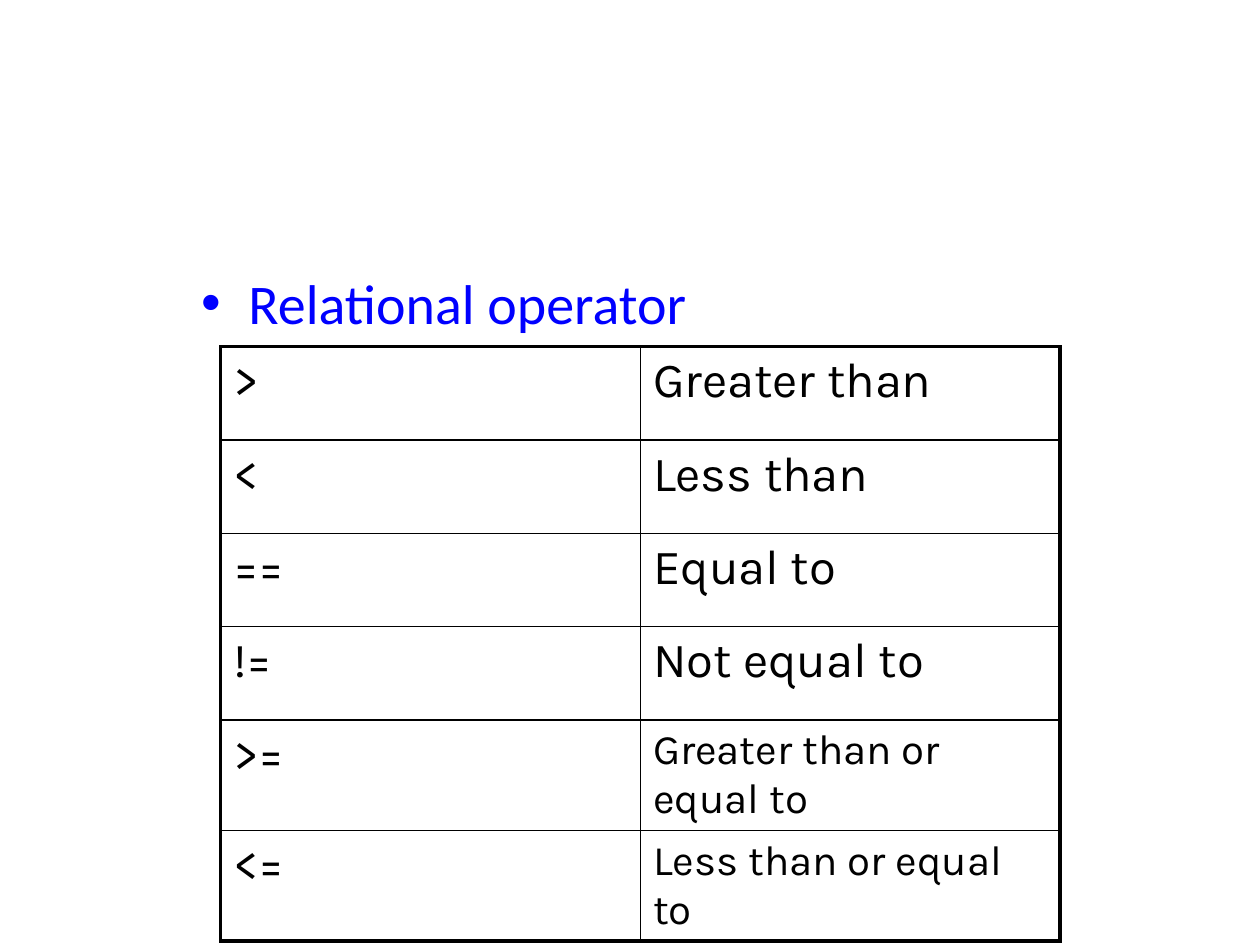
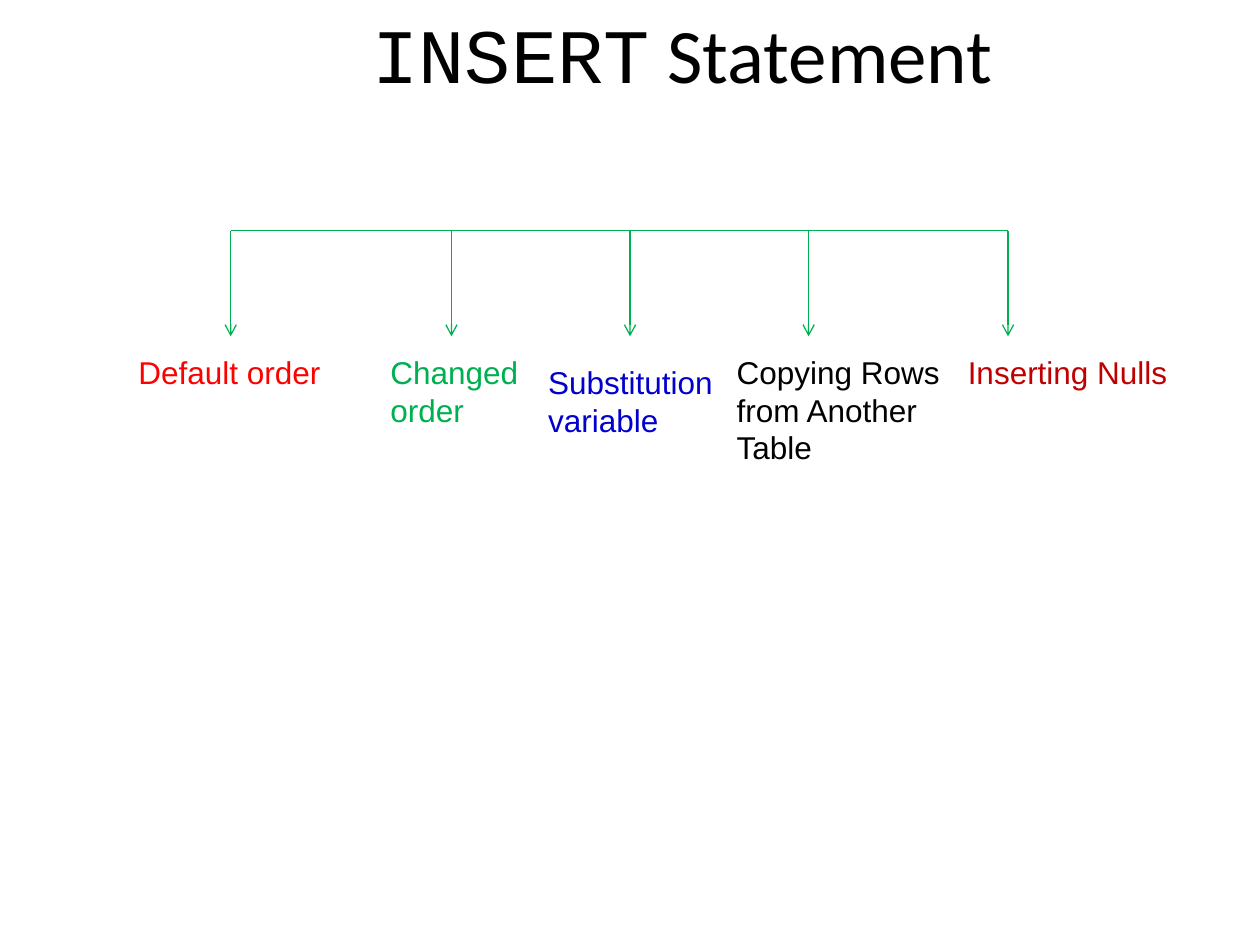
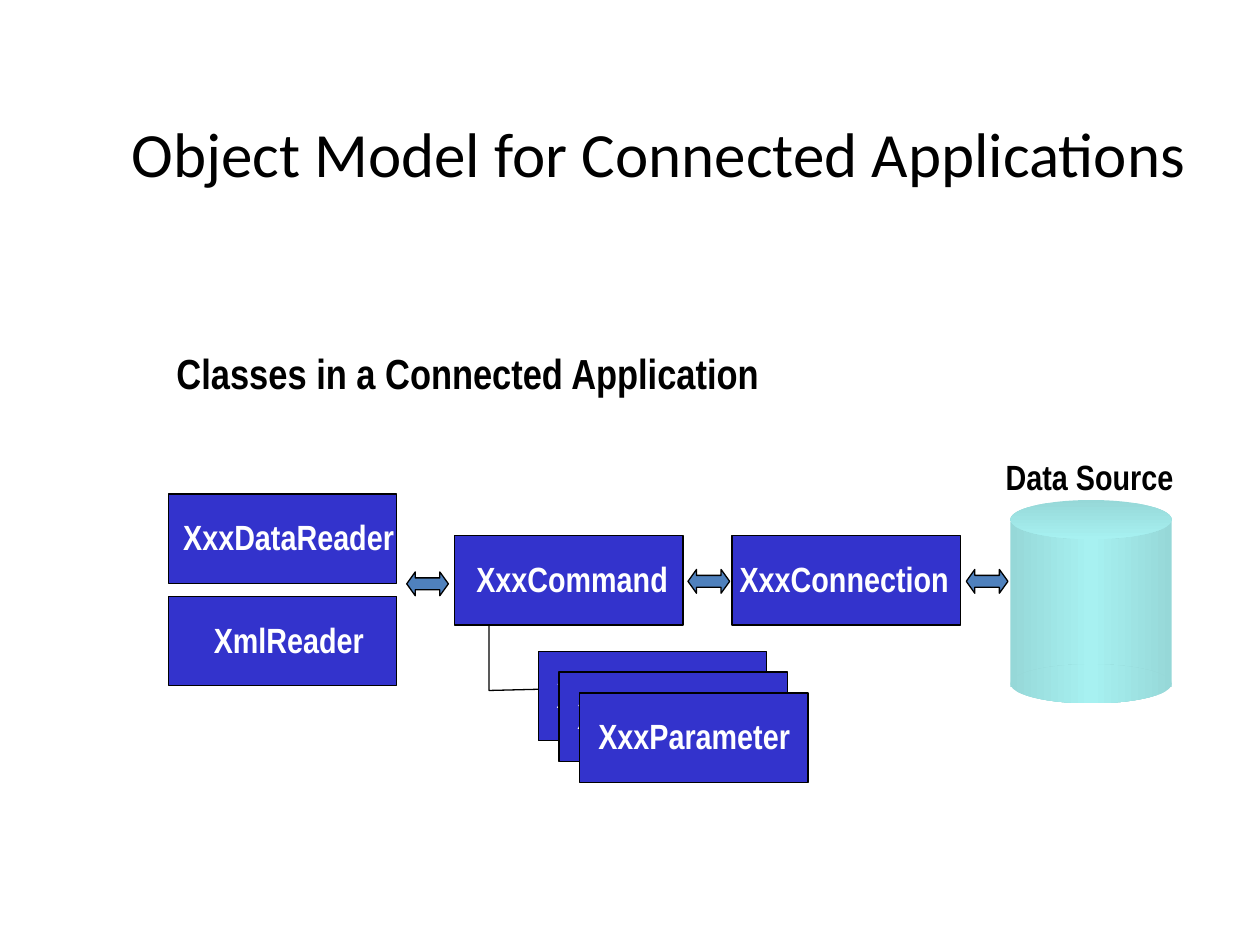
from dataclasses import dataclass

from lxml import etree
from pptx import Presentation
from pptx import util as u
from pptx.dml.color import RGBColor
from pptx.enum import shapes, text
from pptx.oxml.ns import qn


@dataclass(frozen=True)
class Theme:
    black: str = "000000"
    white: str = "FFFFFF"
    blue: str = "0000FF"
    green: str = "00B050"
    box: str = "3333CC"
    arrow: str = "4F81BD"
    edge: str = "96D8D8"
    glow: str = "A7F1F1"
    head: str = "Calibri"
    code: str = "Courier New"
    cell: str = "Karla"
    label: str = "Arial"
    narrow: str = "Arial Narrow"
    title: int = 44
    title_small: int = 36
    bullet: int = 32
    cell_size: int = 28
    cell_small: int = 24
    subtitle: int = 24
    class_size: int = 20
    label_size: int = 18
    thin: float = 0.75
    inner: float = 1
    outer: float = 2.25


T = Theme()

ROW_H, TALL_ROW_H = 1.88, 2.23
OPERATORS = [
    (">", "Greater than", T.cell_size, ROW_H),
    ("<", "Less than", T.cell_size, ROW_H),
    ("==", "Equal to", T.cell_size, ROW_H),
    ("!=", "Not equal to", T.cell_size, ROW_H),
    (">=", "Greater than or equal to", T.cell_small, TALL_ROW_H),
    ("<=", "Less than or equal to", T.cell_small, TALL_ROW_H),
]

# branch x, label x, label y, label width, label height, lines, colour
INSERT_KINDS = [
    (4.65, 2.54, 6.99, 4.65, 1.02, ["Default order"], "FF0000"),
    (9.1, 7.62, 6.99, 4.65, 1.8, ["Changed order"], T.green),
    (12.7, 10.8, 7.2, 4.65, 1.8, ["Substitution", "variable"], "0000CC"),
    (16.3, 14.6, 6.99, 4.87, 2.57, ["Copying Rows", "from Another Table"], T.black),
    (20.32, 19.26, 6.99, 4.87, 1.02, ["Inserting Nulls"], "C00000"),
]
BRANCH_TOP, BRANCH_END = 4.65, 6.78

BOX_W, BOX_H = 4.6, 1.8
PARAMETER_STEP = 0.42
CLASSES = [
    ("XxxConnection", 14.76, 10.8, -0.1, 4.72),
    ("XxxCommand", 9.17, 10.8, 0.18, 4.37),
    ("XxxDataReader", 3.4, 9.96, 0.03, 4.78),
    ("XmlReader", 3.4, 12.02, 0.66, 3.53),
] + [
    ("XxxParameter", 10.85 + i * PARAMETER_STEP, 13.13 + i * PARAMETER_STEP, 0.12, 4.37)
    for i in range(3)
]
ARROWS = [(8.2, 11.53), (13.87, 11.48), (19.48, 11.48)]
SIDE_SHADE = [(0, T.edge), (50, T.glow), (100, T.edge)]
TOP_SHADE = [(0, T.edge), (100, T.glow)]
RECT, OVAL = shapes.MSO_SHAPE.RECTANGLE, shapes.MSO_SHAPE.OVAL
CYLINDER = [
    (RECT, 10.52, 3.33, SIDE_SHADE, 0),
    (OVAL, 10.08, 0.79, TOP_SHADE, 270),
    (OVAL, 13.39, 0.79, SIDE_SHADE, 0),
]


def rgb(c):
    return RGBColor.from_string(c)


def cm(*values):
    return [u.Cm(v) for v in values]


def style(font, name, size, color, bold=False):
    font.name, font.size, font.bold = name, u.Pt(size), bold
    font.color.rgb = rgb(color)


def add_text(s, at, lines, name, size, color, bold=False, center=False,
             middle=False, wrap=True):
    tf = s.shapes.add_textbox(*cm(*at)).text_frame
    tf.word_wrap = wrap
    if middle:
        tf.vertical_anchor = text.MSO_ANCHOR.MIDDLE
    tf.text = "\n".join(lines)
    for p in tf.paragraphs:
        style(p.font, name, size, color, bold)
        if center:
            p.alignment = text.PP_ALIGN.CENTER
    return tf


def add_title(s, at, content, size, middle):
    return add_text(s, at, [content], T.head, size, T.black, center=True, middle=middle)


def add_box(s, kind, at, fill=None, line=None):
    sp = s.shapes.add_shape(kind, *cm(*at))
    sp.shadow.inherit = False
    if fill:
        sp.fill.solid()
        sp.fill.fore_color.rgb = rgb(fill)
    if line:
        sp.line.color.rgb = rgb(line)
        sp.line.width = u.Pt(T.thin)
    else:
        sp.line.fill.background()
    return sp


def shade(sp, stops, angle):
    sp.fill.gradient()
    sp.fill.gradient_angle = angle
    gs_list = sp._element.spPr.find(".//" + qn("a:gsLst"))
    for gs in list(gs_list):
        gs_list.remove(gs)
    for pos, color in stops:
        gs = etree.SubElement(gs_list, qn("a:gs"), pos=str(pos * 1000))
        etree.SubElement(gs, qn("a:srgbClr"), val=color)


def add_line(s, ends, arrow=False):
    c = s.shapes.add_connector(shapes.MSO_CONNECTOR.STRAIGHT, *cm(*ends))
    c.line.color.rgb = rgb(T.green)
    c.line.width = u.Pt(T.thin)
    pr = c._element.spPr
    if arrow:
        etree.SubElement(pr.find(qn("a:ln")), qn("a:tailEnd"), type="arrow")
    etree.SubElement(pr, qn("a:effectLst"))


def set_borders(cell, widths):
    pr = cell._tc.get_or_add_tcPr()
    for i, (side, width) in enumerate(zip("LRTB", widths)):
        ln = etree.Element(qn("a:ln" + side), w=str(int(u.Pt(width))))
        fill = etree.SubElement(ln, qn("a:solidFill"))
        etree.SubElement(fill, qn("a:srgbClr"), val=T.black)
        pr.insert(i, ln)


def operators_slide(s):
    tf = add_text(s, (3.81, 5.28, 21.59, 11.43), ["Relational operator"],
                  T.head, T.bullet, T.blue)
    pr = tf.paragraphs[0]._p.get_or_add_pPr()
    pr.set("marL", str(u.Cm(0.95)))
    pr.set("indent", str(-u.Cm(0.95)))
    pr.insert(0, etree.Element(qn("a:buFont"), typeface=T.label))
    pr.insert(1, etree.Element(qn("a:buChar"), char="•"))

    rows = len(OPERATORS)
    total = sum(row[-1] for row in OPERATORS)
    table = s.shapes.add_table(rows, 2, *cm(4.45, 6.99, 16.92, total)).table
    table.first_row = table.horz_banding = False
    for r, (symbol, meaning, size, height) in enumerate(OPERATORS):
        table.rows[r].height = u.Cm(height)
        for c, (content, pt) in enumerate([(symbol, T.cell_size), (meaning, size)]):
            cell = table.cell(r, c)
            cell.text = content
            cell.margin_bottom = u.Cm(0.05)
            style(cell.text_frame.paragraphs[0].font, T.cell, pt, T.black)
            cell.fill.background()
            outside = (c == 0, c == 1, r == 0, r == rows - 1)
            set_borders(cell, [T.outer if edge else T.inner for edge in outside])


def insert_slide(s):
    for _, x, y, w, h, lines, color in INSERT_KINDS:
        add_text(s, (x, y, w, h), lines, T.label, T.label_size, color)
    tf = add_title(s, (2.12, 0, 23.28, 2.33), "INSERT", T.title, middle=False)
    p = tf.paragraphs[0]
    p.runs[0].font.name = T.code
    p.add_run().text = " Statement"
    branches = [kind[0] for kind in INSERT_KINDS]
    add_line(s, (branches[0], BRANCH_TOP, branches[-1], BRANCH_TOP))
    for x in branches:
        add_line(s, (x, BRANCH_TOP, x, BRANCH_END), arrow=True)


def object_model_slide(s):
    add_title(s, (1.9, 1.9, 22.76, 2.33), "Object Model for Connected Applications",
              T.title_small, middle=True)
    add_text(s, (3.18, 6.88, 12.5, 1.27), ["Classes in a Connected Application"],
             T.narrow, T.subtitle, T.black, True, True, True)

    path = s.shapes.build_freeform(*cm(9.86, 11.96))
    path.add_line_segments([cm(9.86, 13.92), cm(11.91, 13.87)], close=False)
    link = path.convert_to_shape()
    link.shadow.inherit = False
    link.fill.background()
    link.line.color.rgb = rgb(T.black)
    link.line.width = u.Pt(T.thin)

    def class_label(at, name, color):
        add_text(s, at, [name], T.narrow, T.class_size, color, True, True, True, False)

    class_label((20.02, 9.06, 3.89, 1.09), "Data Source", T.black)
    for kind, y, h, stops, angle in CYLINDER:
        shade(add_box(s, kind, (20.37, y, 3.25, h)), stops, angle)
    for name, x, y, dx, w in CLASSES:
        add_box(s, RECT, (x, y, BOX_W, BOX_H), T.box, T.black)
        class_label((x + dx, y + 0.32, w, 1.09), name, T.white)
    for x, y in ARROWS:
        sp = add_box(s, shapes.MSO_SHAPE.LEFT_RIGHT_ARROW, (x, y, 0.84, 0.48),
                     T.arrow, T.black)
        sp.adjustments[0], sp.adjustments[1] = 0.5, 0.36


def main():
    prs = Presentation()
    prs.slide_width, prs.slide_height = cm(25.4, 19.05)
    for build in (operators_slide, insert_slide, object_model_slide):
        build(prs.slides.add_slide(prs.slide_layouts[6]))
    prs.save("out.pptx")


if __name__ == "__main__":
    main()
